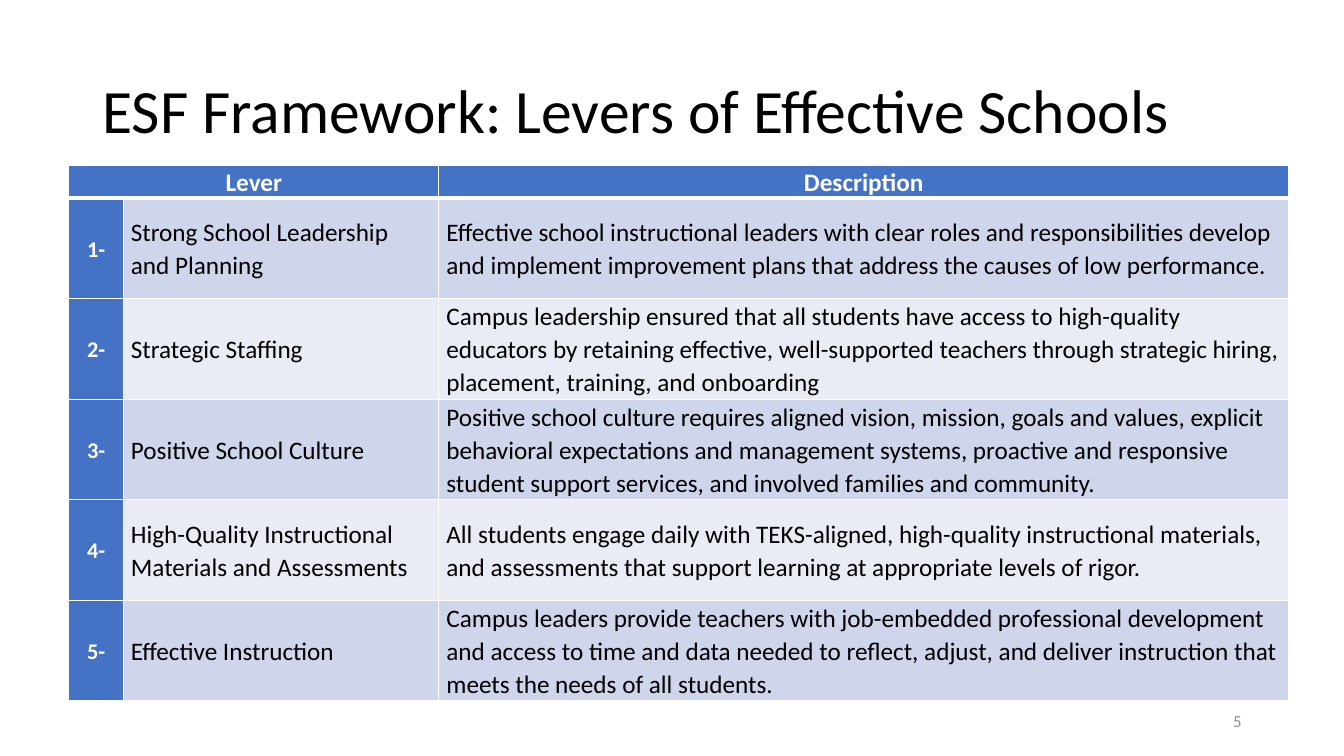
"""Build the slide that lists the five levers of the ESF Framework."""

import dataclasses

import lxml.etree
import pptx
import pptx.dml.color
import pptx.enum.text
import pptx.oxml.ns
import pptx.slide
import pptx.table
import pptx.text.text
import pptx.util

Pt = pptx.util.Pt
Align = pptx.enum.text.PP_ALIGN
Anchor = pptx.enum.text.MSO_ANCHOR


@dataclasses.dataclass(frozen=True)
class Theme:
    font: str = "Calibri"
    ink: str = "000000"
    paper: str = "FFFFFF"
    accent: str = "4472C4"
    bands: tuple[str, str] = ("CFD5EA", "E9EBF5")
    page_number: str = "8C8C8C"
    title_size: float = 44
    table_size: float = 18
    index_size: float = 16
    number_size: float = 12


@dataclasses.dataclass(frozen=True)
class TextStyle:
    size: float
    color: str
    bold: bool = False
    align: Align = Align.LEFT
    line_spacing: float = 1.0
    space_after: float = 0


@dataclasses.dataclass(frozen=True)
class Lever:
    name: str
    description: str


THEME = Theme()
CELL_SPACING = 1.07
HEADER = TextStyle(THEME.table_size, THEME.paper, True, Align.CENTER, CELL_SPACING)
INDEX = dataclasses.replace(HEADER, size=THEME.index_size)
NAME = TextStyle(THEME.table_size, THEME.ink, line_spacing=CELL_SPACING)
DESCRIPTION = dataclasses.replace(NAME, space_after=8)

COLUMN_WIDTHS = (38.9, 225.4, 607)
HEADER_HEIGHT = 23.2
LEVER_HEIGHT = 71.8
THIN_BORDER = 1
THICK_BORDER = 3

LEVERS = (
    Lever(
        "Strong School Leadership and Planning",
        "Effective school instructional leaders with clear roles and responsibilities develop "
        "and implement improvement plans that address the causes of low performance.",
    ),
    Lever(
        "Strategic Staffing",
        "Campus leadership ensured that all students have access to high-quality educators by "
        "retaining effective, well-supported teachers through strategic hiring, placement, "
        "training, and onboarding",
    ),
    Lever(
        "Positive School Culture",
        "Positive school culture requires aligned vision, mission, goals and values, explicit "
        "behavioral expectations and management systems, proactive and responsive student "
        "support services, and involved families and community.",
    ),
    Lever(
        "High-Quality Instructional Materials and Assessments",
        "All students engage daily with TEKS-aligned, high-quality instructional materials, "
        "and assessments that support learning at appropriate levels of rigor.",
    ),
    Lever(
        "Effective Instruction",
        "Campus leaders provide teachers with job-embedded professional development and access "
        "to time and data needed to reflect, adjust, and deliver instruction that meets the "
        "needs of all students.",
    ),
)


def rgb(color: str) -> pptx.dml.color.RGBColor:
    return pptx.dml.color.RGBColor.from_string(color)


def write(frame: pptx.text.text.TextFrame, text: str, style: TextStyle) -> None:
    para = frame.paragraphs[0]
    para.alignment = style.align
    para.line_spacing = style.line_spacing
    para.space_after = Pt(style.space_after)
    span = para.add_run()
    span.text = text
    span.font.name = THEME.font
    span.font.size = Pt(style.size)
    span.font.bold = style.bold
    span.font.color.rgb = rgb(style.color)


def set_borders(cell: pptx.table._Cell, top: float, bottom: float) -> None:
    properties = cell._tc.get_or_add_tcPr()
    qn = pptx.oxml.ns.qn
    widths = {"L": THIN_BORDER, "R": THIN_BORDER, "T": top, "B": bottom}
    for side, width in widths.items():
        line = lxml.etree.SubElement(properties, qn(f"a:ln{side}"), w=str(int(Pt(width))))
        fill = lxml.etree.SubElement(line, qn("a:solidFill"))
        lxml.etree.SubElement(fill, qn("a:srgbClr"), val=THEME.paper)


def format_cell(cell: pptx.table._Cell, row: int, fill: str) -> None:
    set_borders(
        cell,
        top=THICK_BORDER if row == 1 else THIN_BORDER,
        bottom=THICK_BORDER if row == 0 else THIN_BORDER,
    )
    cell.fill.solid()
    cell.fill.fore_color.rgb = rgb(fill)
    cell.vertical_anchor = Anchor.MIDDLE
    cell.margin_left = cell.margin_right = Pt(5.4)
    cell.margin_top = cell.margin_bottom = Pt(0)


def add_title(page: pptx.slide.Slide) -> None:
    title = page.shapes.title
    title.left, title.top, title.width, title.height = Pt(66), Pt(28.75), Pt(828), Pt(104.4)
    title.text_frame.word_wrap = True
    title.text_frame.auto_size = pptx.enum.text.MSO_AUTO_SIZE.NONE
    title.text_frame.vertical_anchor = Anchor.MIDDLE
    style = TextStyle(THEME.title_size, THEME.ink, line_spacing=0.9)
    write(title.text_frame, "ESF Framework: Levers of Effective Schools", style)


def add_lever_table(page: pptx.slide.Slide) -> None:
    height = HEADER_HEIGHT + LEVER_HEIGHT * len(LEVERS)
    table = page.shapes.add_table(
        len(LEVERS) + 1, len(COLUMN_WIDTHS), Pt(49.2), Pt(118.4), Pt(sum(COLUMN_WIDTHS)), Pt(height)
    ).table
    table.horz_banding = False
    for column, width in zip(table.columns, COLUMN_WIDTHS):
        column.width = Pt(width)

    table.rows[0].height = Pt(HEADER_HEIGHT)
    for cell in table.rows[0].cells:
        format_cell(cell, 0, THEME.accent)
    table.cell(0, 0).merge(table.cell(0, 1))
    write(table.cell(0, 0).text_frame, "Lever", HEADER)
    write(table.cell(0, 2).text_frame, "Description", HEADER)

    for row, lever in enumerate(LEVERS, start=1):
        table.rows[row].height = Pt(LEVER_HEIGHT)
        band = THEME.bands[(row - 1) % 2]
        contents = (
            (f"{row}-", INDEX, THEME.accent),
            (lever.name, NAME, band),
            (lever.description, DESCRIPTION, band),
        )
        for cell, (text, style, fill) in zip(table.rows[row].cells, contents):
            format_cell(cell, row, fill)
            write(cell.text_frame, text, style)


def add_page_number(page: pptx.slide.Slide) -> None:
    box = page.shapes.add_textbox(Pt(678), Pt(500.5), Pt(216), Pt(28.75))
    box.text_frame.word_wrap = True
    box.text_frame.vertical_anchor = Anchor.MIDDLE
    write(box.text_frame, "5", TextStyle(THEME.number_size, THEME.page_number, align=Align.RIGHT))


def main() -> None:
    deck = pptx.Presentation()
    deck.slide_width, deck.slide_height = Pt(960), Pt(540)
    page = deck.slides.add_slide(deck.slide_layouts.get_by_name("Title Only"))
    add_title(page)
    add_page_number(page)
    add_lever_table(page)
    deck.save("out.pptx")


if __name__ == "__main__":
    main()
